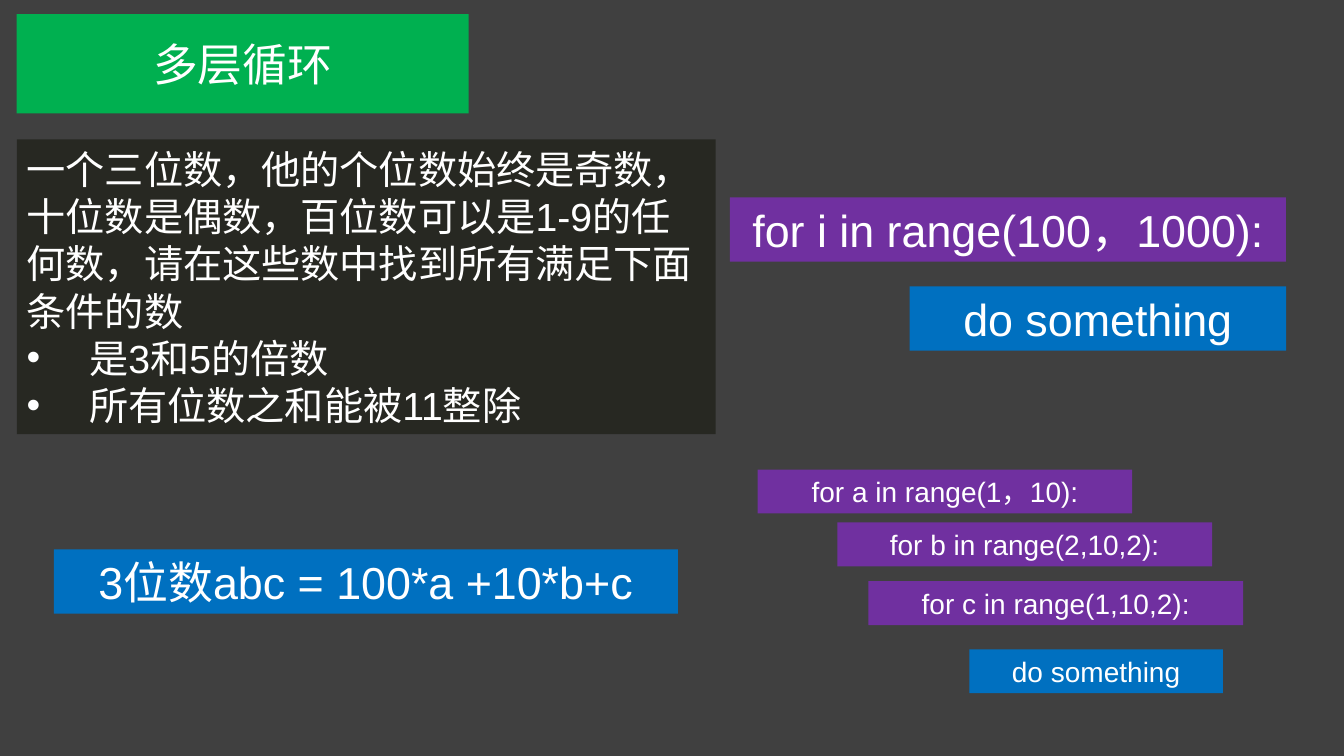
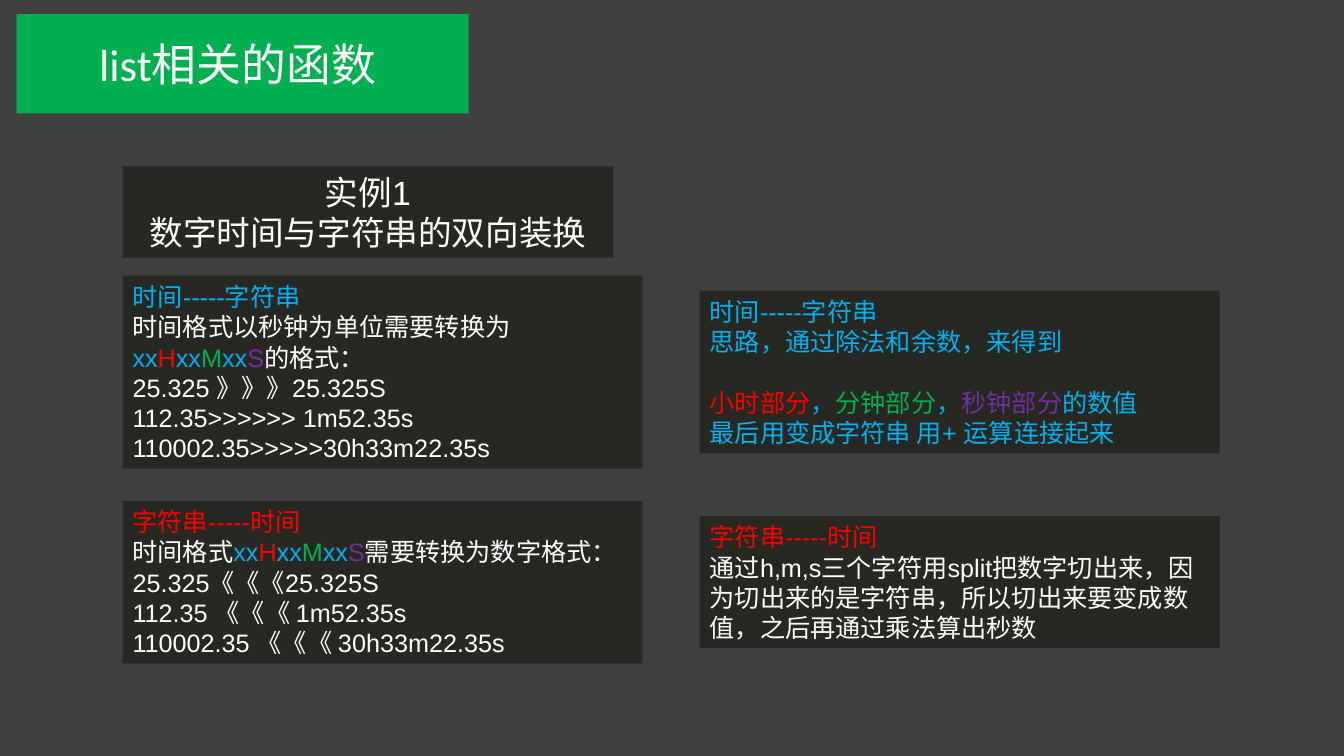
from lxml import etree
from pptx import Presentation, util as u
from pptx.dml.color import RGBColor
from pptx.enum import shapes, text
from pptx.oxml.ns import qn

COLORS = {
    "back": "404040", "panel": "272822", "white": "FFFFFF", "green": "00B050",
    "purple": "7030A0", "blue": "0070C0", "sky": "00B0F0", "red": "FF0000",
}
COLS, ROWS = 80, 45
CELL = u.Inches(1) / 6
INSETS = 0.6          # top and bottom text margins, in rows
LINE_HEIGHT = 1.21    # times the text size
CENTER, LEFT = text.PP_ALIGN.CENTER, text.PP_ALIGN.LEFT


def cells(n):
    return u.Emu(round(n * CELL))


def height_of(lines, size):
    """Rows taken by a box that fits its lines of text."""
    return INSETS + lines * u.Pt(size * LINE_HEIGHT) / CELL


class Deck:
    def __init__(self):
        self.prs = Presentation()
        self.prs.slide_width, self.prs.slide_height = cells(COLS), cells(ROWS)
        self.s = None

    def slide(self, title):
        self.s = self.prs.slides.add_slide(self.prs.slide_layouts[6])
        fill = self.s.background.fill
        fill.solid()
        fill.fore_color.rgb = RGBColor.from_string(COLORS["back"])
        self.box(1, 0.85, 26.9, 5.9, "green", [title], 32, font="Calibri")

    def group(self):
        return self.s.shapes.add_group_shape()

    def box(self, x, y, w, h, fill, paragraphs, size,
            align=CENTER, font="Arial", into=None):
        """Each paragraph is a string (white) or a list of (text, colour) runs."""
        sp = (into or self.s).shapes.add_shape(
            shapes.MSO_SHAPE.RECTANGLE, *map(cells, (x, y, w, h)))
        sp.shadow.inherit = False
        sp.fill.solid()
        sp.fill.fore_color.rgb = RGBColor.from_string(COLORS[fill])
        sp.line.fill.background()
        tf = sp.text_frame
        tf.word_wrap = True
        tf.vertical_anchor = text.MSO_ANCHOR.MIDDLE
        for i, runs in enumerate(paragraphs):
            p = tf.add_paragraph() if i else tf.paragraphs[0]
            p.alignment = align
            for words, color in [(runs, "white")] if isinstance(runs, str) else runs:
                r = p.add_run()
                r.text = words
                r.font.size, r.font.name = u.Pt(size), font
                r.font.color.rgb = RGBColor.from_string(COLORS[color])
        return sp

    def fitted(self, x, y, w, fill, paragraphs, size, lines=1, **style):
        """A box as tall as its text."""
        sp = self.box(x, y, w, height_of(lines, size), fill, paragraphs, size, **style)
        sp.text_frame.auto_size = text.MSO_AUTO_SIZE.SHAPE_TO_FIT_TEXT
        return sp

    def card(self, x, middle, lines, paragraphs):
        """A dark text panel centred on a row."""
        y = middle - height_of(lines, 18) / 2
        return self.fitted(x, y, 30.95, "panel", paragraphs, 18, lines, align=LEFT)

    def bullet(self, p):
        pPr = p._p.get_or_add_pPr()
        indent = u.Inches(0.62)
        pPr.set("marL", str(indent))
        pPr.set("indent", str(-indent))
        etree.SubElement(pPr, qn("a:buFont")).set("typeface", "Arial")
        etree.SubElement(pPr, qn("a:buChar")).set("char", "•")


def nested_loops(d):
    d.slide("多层循环")
    problem = d.fitted(1, 8.3, 41.6, "panel", [
        "一个三位数，他的个位数始终是奇数，十位数是偶数，百位数可以是1-9的任何数，"
        "请在这些数中找到所有满足下面条件的数",
        "是3和5的倍数",
        "所有位数之和能被11整除",
    ], 28, lines=6, align=LEFT)
    for p in problem.text_frame.paragraphs[1:]:
        d.bullet(p)

    single = d.group()
    d.fitted(43.45, 11.75, 33.1, "purple", ["for i in range(100，1000):"], 32, into=single)
    d.fitted(54.15, 17.05, 22.4, "blue", ["do something"], 32, into=single)
    d.fitted(3.2, 32.7, 37.15, "blue", ["3位数abc = 100*a +10*b+c"], 32)

    nested = d.group()
    for x, y, loop in [(45.1, 27.95, "for a in range(1，10):"),
                       (49.85, 31.1, "for b in range(2,10,2):"),
                       (51.7, 34.6, "for c in range(1,10,2):")]:
        d.fitted(x, y, 22.3, "purple", [loop], 20, into=nested)
    d.fitted(57.7, 38.65, 15.1, "blue", ["do something"], 20, into=nested)


def list_functions(d):
    left, right = 7.3, 41.65
    upper, lower = 22.15, 34.65
    time_format = [("xx", "sky"), ("H", "red"), ("xx", "sky"),
                   ("M", "green"), ("xx", "sky"), ("S", "purple")]
    to_string = [("时间-----字符串", "sky")]
    to_time = [("字符串-----时间", "red")]

    d.slide("list相关的函数 ")
    d.fitted(left, 9.9, 29.2, "panel", ["实例1", "数字时间与字符串的双向装换"], 24, lines=2)
    d.card(left, upper, 6, [
        to_string,
        [("时间格式以秒钟为单位需要转换为 ", "white"), *time_format, ("的格式：", "white")],
        "25.325 》》》25.325S",
        "112.35>>>>>> 1m52.35s",
        "110002.35>>>>>30h33m22.35s",
    ])
    d.card(left, lower, 5, [
        to_time,
        [("时间格式", "white"), *time_format, ("需要转换为数字格式：", "white")],
        "25.325《《《25.325S",
        "112.35 《《《 1m52.35s",
        "110002.35 《《《 30h33m22.35s",
    ])
    idea = d.card(right, upper, 5, [
        to_string,
        [("思路，通过除法和余数，来得到", "sky")],
        [("小时部分", "red"), ("，", "sky"), ("分钟部分", "green"), ("，", "sky"),
         ("秒钟部分", "purple"), ("的数值", "sky")],
        [("最后用变成字符串 用+ 运算连接起来", "sky")],
    ])
    idea.text_frame.paragraphs[2].space_before = u.Pt(18 * LINE_HEIGHT)
    d.card(right, lower, 4, [
        to_time,
        "通过h,m,s三个字符用split把数字切出来，因为切出来的是字符串，"
        "所以切出来要变成数值，之后再通过乘法算出秒数",
    ])


def main():
    d = Deck()
    nested_loops(d)
    list_functions(d)
    d.prs.save("out.pptx")


if __name__ == "__main__":
    main()
